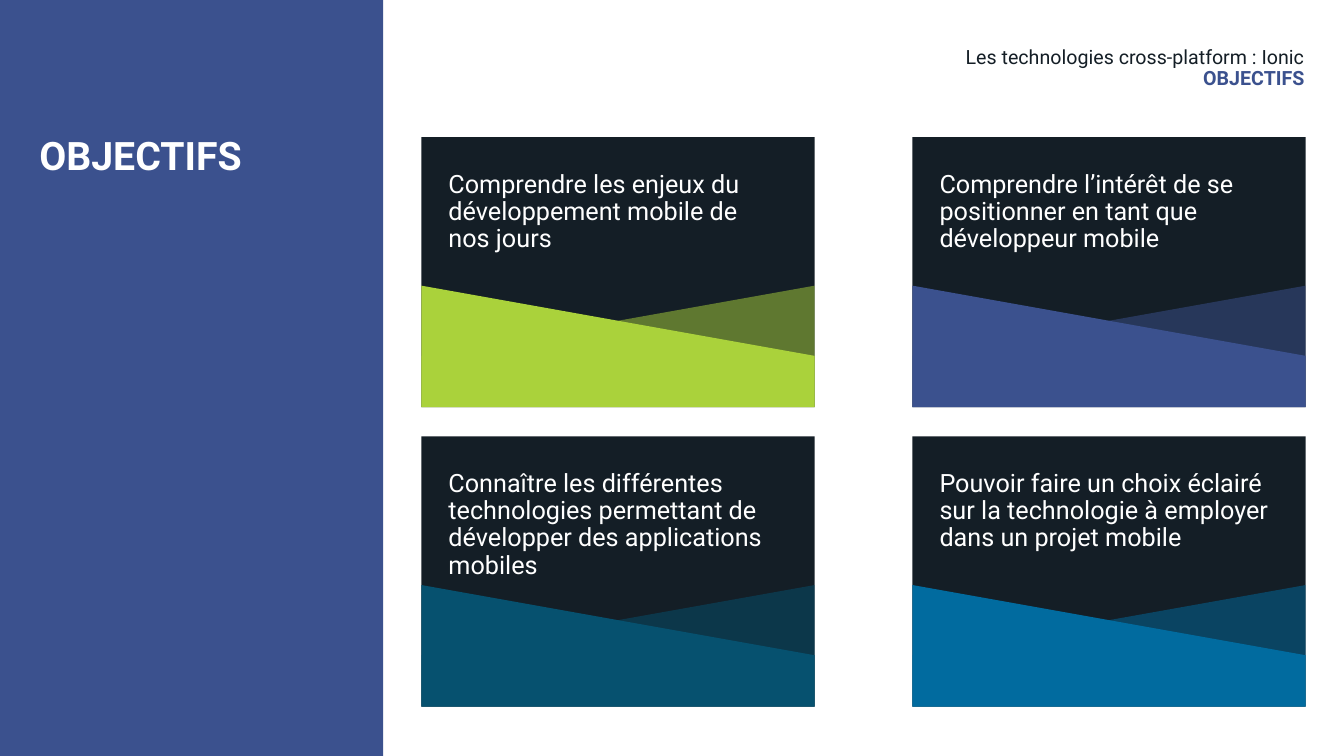
from dataclasses import dataclass

import pptx
import pptx.dml.color
import pptx.enum.shapes
import pptx.enum.text
import pptx.oxml
import pptx.oxml.ns
import pptx.shapes.base
import pptx.slide
import pptx.text.text
import pptx.util

RGB = pptx.dml.color.RGBColor
ALIGN = pptx.enum.text.PP_ALIGN
INCH = pptx.util.Inches

WHITE = RGB(0xFF, 0xFF, 0xFF)
DARK = RGB(0x14, 0x1E, 0x26)
BLUE = RGB(0x3B, 0x51, 0x8E)
GREEN = RGB(0xAA, 0xD2, 0x3B)
TEAL = RGB(0x06, 0x51, 0x6F)
AZURE = RGB(0x01, 0x6B, 0x9F)

FONT = "Roboto"
WIDTH, HEIGHT = 13.33, 7.5
SIDE = 3.8  # width of the side panel
LEFT, TOP = 4.18, 1.36  # corner of the card grid
CARD_W, CARD_H = 3.9, 2.68
COL_STEP, ROW_STEP = 4.87, 2.97
HIGH, LOW = 0.55, 0.81  # ends of a wedge's slope, as shares of the card


@dataclass(frozen=True)
class Card:
    col: int
    row: int
    text: str
    color: RGB

    @property
    def left(self) -> float:
        return LEFT + self.col * COL_STEP

    @property
    def top(self) -> float:
        return TOP + self.row * ROW_STEP


CARDS = [
    Card(0, 0, "Comprendre les enjeux du développement mobile de nos jours", GREEN),
    Card(1, 0, "Comprendre l’intérêt de se positionner en tant que développeur mobile", BLUE),
    Card(0, 1, "Connaître les différentes technologies permettant de développer "
               "des applications mobiles", TEAL),
    Card(1, 1, "Pouvoir faire un choix éclairé sur la technologie à employer "
               "dans un projet mobile", AZURE),
]


def write(frame: pptx.text.text.TextFrame, text: str, *, size: float, color: RGB,
          bold: bool = False, align: ALIGN = ALIGN.LEFT) -> None:
    """Add a paragraph, using the empty first one when there is one."""
    para = frame.paragraphs[0] if not frame.text else frame.add_paragraph()
    para.alignment = align
    para.line_spacing = 0.9
    run = para.add_run()
    run.text = text
    run.font.name = FONT
    run.font.size = pptx.util.Pt(size)
    run.font.bold = bold
    run.font.color.rgb = color


def setup(frame: pptx.text.text.TextFrame, inset: bool) -> None:
    """Wrap the text from the top, with or without the usual insets."""
    frame.word_wrap = True
    frame.auto_size = pptx.enum.text.MSO_AUTO_SIZE.NONE
    frame.vertical_anchor = pptx.enum.text.MSO_ANCHOR.TOP
    if not inset:
        frame.margin_left = frame.margin_right = 0
        frame.margin_top = frame.margin_bottom = 0


def add_text(slide: pptx.slide.Slide, left: float, top: float, width: float,
             height: float, inset: bool = True) -> pptx.text.text.TextFrame:
    box = slide.shapes.add_textbox(INCH(left), INCH(top), INCH(width), INCH(height))
    setup(box.text_frame, inset)
    return box.text_frame


def paint(shape: pptx.shapes.base.BaseShape, color: RGB, alpha: int = 100) -> None:
    """Fill a shape without line or shadow; alpha is its opacity in percent."""
    shape.shadow.inherit = False
    shape.line.fill.background()
    shape.fill.solid()
    shape.fill.fore_color.rgb = color
    if alpha < 100:
        tone = shape._element.spPr.find(".//" + pptx.oxml.ns.qn("a:srgbClr"))
        fade = pptx.oxml.parse_xml(
            f'<a:alpha {pptx.oxml.ns.nsdecls("a")} val="{alpha * 1000}"/>')
        tone.append(fade)


def add_rect(slide: pptx.slide.Slide, left: float, top: float, width: float,
             height: float, color: RGB) -> None:
    rect = slide.shapes.add_shape(pptx.enum.shapes.MSO_SHAPE.RECTANGLE, INCH(left),
                                  INCH(top), INCH(width), INCH(height))
    paint(rect, color)


def add_wedge(slide: pptx.slide.Slide, card: Card, start: float, end: float,
              alpha: int = 100) -> None:
    """Fill the foot of a card below a slope from start to end."""
    shares = [(0, start), (1, end), (1, 1), (0, 1)]
    points = [(INCH(card.left + x * CARD_W), INCH(card.top + y * CARD_H))
              for x, y in shares]
    pen = slide.shapes.build_freeform(*points[0], scale=1.0)
    pen.add_line_segments(points[1:], close=True)
    paint(pen.convert_to_shape(), card.color, alpha)


def add_card(slide: pptx.slide.Slide, card: Card) -> None:
    add_rect(slide, card.left, card.top, CARD_W, CARD_H, DARK)
    add_wedge(slide, card, LOW, HIGH, alpha=50)
    add_wedge(slide, card, HIGH, LOW)
    frame = add_text(slide, card.left + 0.17, card.top + 0.29, 3.5, 1.19)
    write(frame, card.text, size=18, color=WHITE)


def add_title(slide: pptx.slide.Slide) -> None:
    """Place the title on top of the side panel."""
    add_rect(slide, 0, 0, SIDE, HEIGHT, BLUE)
    title = slide.shapes.title
    title.left, title.top = INCH(0.39), INCH(TOP)
    title.width, title.height = INCH(3.12), INCH(4.84)
    setup(title.text_frame, inset=False)
    write(title.text_frame, "OBJECTIFS", size=28, color=WHITE, bold=True)
    slide.shapes._spTree.append(title._element)


def main() -> None:
    deck = pptx.Presentation()
    deck.slide_width, deck.slide_height = INCH(WIDTH), INCH(HEIGHT)
    slide = deck.slides.add_slide(deck.slide_layouts[5])
    add_title(slide)
    head = add_text(slide, LEFT, 0.47, 8.76, 0.59, inset=False)
    write(head, "Les technologies cross-platform : Ionic", size=14, color=DARK,
          align=ALIGN.RIGHT)
    write(head, "OBJECTIFS", size=14, color=BLUE, bold=True, align=ALIGN.RIGHT)
    for card in CARDS:
        add_card(slide, card)
    deck.save("out.pptx")


if __name__ == "__main__":
    main()
